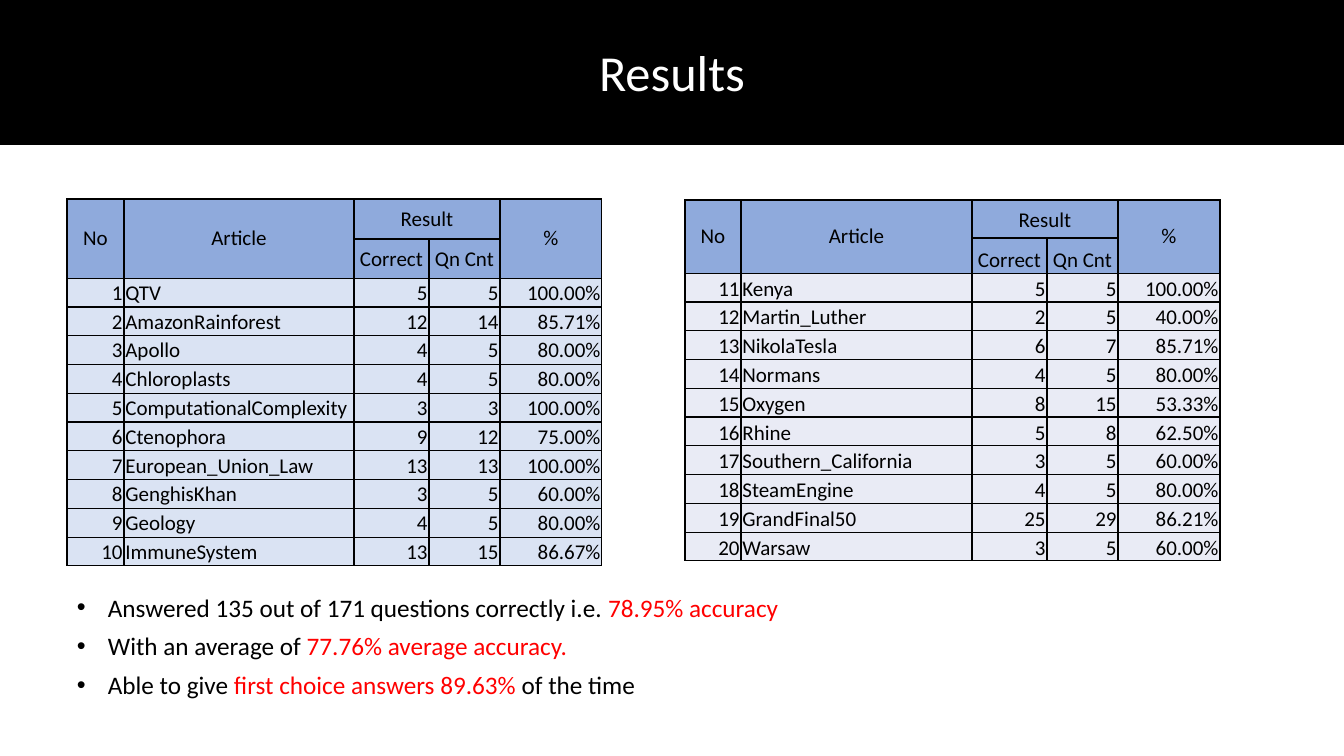
from lxml.etree import SubElement
from pptx import Presentation
from pptx.dml.color import RGBColor
from pptx.enum.shapes import MSO_SHAPE
from pptx.enum.text import MSO_ANCHOR as ANCHOR, PP_ALIGN as ALIGN
from pptx.oxml import parse_xml
from pptx.oxml.ns import nsdecls, qn
from pptx.util import Pt

PX = 914400 / 100.8
BLACK, WHITE, RED = "000000", "FFFFFF", "FF0000"
HEADER_FILL = "8FAADC"
ROW_HEIGHT = 288 / 10
MERGES = [(0, 0, 1, 0), (0, 1, 1, 1), (0, 2, 0, 3), (0, 4, 1, 4)]
HEADERS = [["No", "Article", "Result", "", "%"],
           ["", "", "Correct", "Qn Cnt", ""]]


def px(*lengths):
    """Turn px into EMU: one value for one length, a list for several."""
    emus = [round(length * PX) for length in lengths]
    return emus[0] if len(emus) == 1 else emus


def rgb(color):
    return RGBColor.from_string(color)


presentation = Presentation()
presentation.slide_width, presentation.slide_height = px(1344, 756)
slide = presentation.slides.add_slide(presentation.slide_layouts[6])

# Title band
band = slide.shapes.add_shape(MSO_SHAPE.RECTANGLE, *px(0, 0, 1344, 144))
band.shadow.inherit = False
band.fill.solid()
band.fill.fore_color.rgb = rgb(BLACK)
band.line.color.rgb = rgb(BLACK)
band.line.width = Pt(1)

title = slide.shapes.add_textbox(*px(361, 36, 622, 132)).text_frame
title.word_wrap = True
paragraph = title.paragraphs[0]
paragraph.text = "Results"
paragraph.alignment = ALIGN.CENTER
paragraph.font.size = Pt(36)
paragraph.font.name = "Calibri"
paragraph.font.color.rgb = rgb(WHITE)

# Result tables: article, correct answers, question count
left_results = [
    ("QTV", 5, 5), ("AmazonRainforest", 12, 14), ("Apollo", 4, 5),
    ("Chloroplasts", 4, 5), ("ComputationalComplexity", 3, 3),
    ("Ctenophora", 9, 12), ("European_Union_Law", 13, 13),
    ("GenghisKhan", 3, 5), ("Geology", 4, 5), ("ImmuneSystem", 13, 15),
]
right_results = [
    ("Kenya", 5, 5), ("Martin_Luther", 2, 5), ("NikolaTesla", 6, 7),
    ("Normans", 4, 5), ("Oxygen", 8, 15), ("Rhine", 5, 8),
    ("Southern_California", 3, 5), ("SteamEngine", 4, 5),
    ("GrandFinal50", 25, 29), ("Warsaw", 3, 5),
]
# left, top, column widths, header heights, header margins, body fill,
# body anchor, first number, results
tables = [
    (67, 199, [57, 230, 75, 71, 102], [40, 39], (14, 7), "DAE3F3",
     ANCHOR.MIDDLE, 1, left_results),
    (685, 200, [56, 231, 75, 71, 102], [38, 35], (10, 5), "E9EBF5",
     ANCHOR.BOTTOM, 11, right_results),
]
for (left, top, widths, header_heights, header_margins, body_fill,
     body_anchor, first_number, results) in tables:
    rows = HEADERS + [
        [str(number), article, str(correct), str(count), f"{correct / count:.2%}"]
        for number, (article, correct, count) in enumerate(results, first_number)]
    heights = header_heights + [ROW_HEIGHT] * len(results)
    table = slide.shapes.add_table(
        len(rows), len(widths),
        *px(left, top, sum(widths), sum(heights))).table
    table.first_row = table.horz_banding = False
    for column, width in zip(table.columns, widths):
        column.width = px(width)
    for row, height in zip(table.rows, heights):
        row.height = px(height)

    for row_index, texts in enumerate(rows):
        for column_index, text in enumerate(texts):
            cell = table.cell(row_index, column_index)
            is_header = row_index < 2
            cell.margin_left = cell.margin_right = Pt(1)
            cell.margin_top, cell.margin_bottom = Pt(1), 0
            cell.vertical_anchor = body_anchor
            if row_index == 0 and text:
                side, upper = px(*header_margins)
                cell.margin_left = cell.margin_right = side
                cell.margin_top = cell.margin_bottom = upper
                cell.vertical_anchor = (
                    ANCHOR.BOTTOM if text == "Result" else ANCHOR.MIDDLE)

            paragraph = cell.text_frame.paragraphs[0]
            paragraph.text = text
            paragraph.alignment = (ALIGN.CENTER if is_header else
                                   ALIGN.LEFT if column_index == 1 else
                                   ALIGN.RIGHT)
            paragraph.font.size = Pt(15)
            paragraph.font.name = "Calibri"
            paragraph.font.color.rgb = rgb(BLACK)

            properties = cell._tc.get_or_add_tcPr()
            for edge in ("lnL", "lnR", "lnT", "lnB"):
                properties.append(parse_xml(
                    f'<a:{edge} {nsdecls("a")} w="{Pt(1)}"><a:solidFill>'
                    f'<a:srgbClr val="{BLACK}"/></a:solidFill></a:{edge}>'))
            cell.fill.solid()
            cell.fill.fore_color.rgb = rgb(HEADER_FILL if is_header else body_fill)

    for first_row, first_column, last_row, last_column in MERGES:
        table.cell(first_row, first_column).merge(
            table.cell(last_row, last_column))

# Findings
findings = [
    [("Answered 135 out of 171 questions correctly i.e. ", BLACK),
     ("78.95% accuracy", RED)],
    [("With an average of ", BLACK), ("77.76% average accuracy.", RED)],
    [("Able to give ", BLACK), ("first choice answers 89.63% ", RED),
     ("of the time", BLACK)],
]
summary = slide.shapes.add_textbox(*px(67, 587, 737, 119)).text_frame
summary.word_wrap = True
for index, finding in enumerate(findings):
    paragraph = summary.add_paragraph() if index else summary.paragraphs[0]
    paragraph.space_after = Pt(6)
    paragraph.font.size = Pt(18)
    paragraph.font.name = "Calibri"
    properties = paragraph._p.get_or_add_pPr()
    properties.set("marL", str(px(31)))
    properties.set("indent", str(px(-31)))
    bullet_font = SubElement(properties, qn("a:buFont"), typeface="Arial")
    bullet = SubElement(properties, qn("a:buChar"), char="•")
    properties.find(qn("a:defRPr")).addprevious(bullet_font)
    bullet_font.addnext(bullet)
    for text, color in finding:
        run = paragraph.add_run()
        run.text = text
        run.font.color.rgb = rgb(color)

presentation.save("out.pptx")
